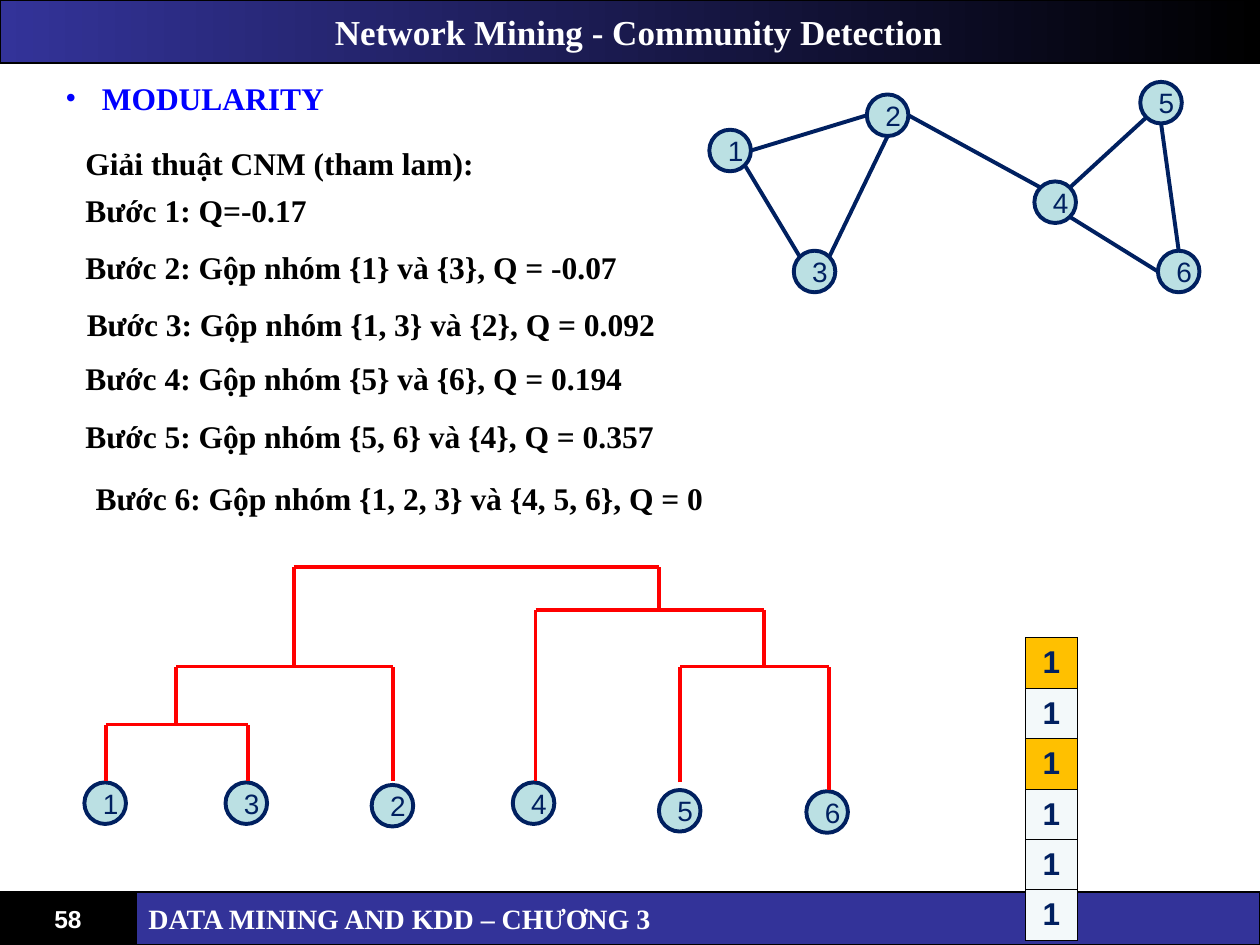
from math import cos, radians, sin

from lxml.etree import SubElement
from pptx import Presentation
from pptx.dml.color import RGBColor
from pptx.enum.shapes import MSO_CONNECTOR as Line, MSO_SHAPE as Preset
from pptx.enum.text import MSO_ANCHOR as Anchor, MSO_AUTO_SIZE as Fit, PP_ALIGN as Align
from pptx.oxml.ns import qn
from pptx.util import Inches, Pt

SERIF, SANS = "Times New Roman", "Arial"
NAVY, BLACK, WHITE, INDIGO = "002060", "000000", "FFFFFF", "333399"
NODE_SIZE = 0.33
DIRECTIONS = {"E": 0, "SE": 45, "S": 90, "SW": 135, "W": 180, "NW": 225, "N": 270, "NE": 315}


def color(hex_code):
    """Turn a hex string into a colour."""
    return RGBColor.from_string(hex_code)


def apply(target, **values):
    """Set every given attribute on the target."""
    for name, value in values.items():
        setattr(target, name, value)


def write(frame, text, size, font, hex_code, bold=True, align=Align.LEFT, anchor=Anchor.MIDDLE):
    """Fill a text frame with one formatted paragraph."""
    frame.vertical_anchor = anchor
    paragraph = frame.paragraphs[0]
    run = paragraph.add_run()
    run.text = text
    paragraph.alignment = align
    apply(run.font, size=Pt(size), name=font, bold=bold)
    run.font.color.rgb = color(hex_code)


def add_line(slide, begin, end, hex_code):
    """Draw a straight line between two points."""
    x1, y1 = begin
    x2, y2 = end
    line = slide.shapes.add_connector(Line.STRAIGHT, Inches(x1), Inches(y1), Inches(x2), Inches(y2))
    line.line.color.rgb = color(hex_code)
    line.line.width = Pt(2.25)
    SubElement(line._element.spPr, qn("a:effectLst"))


def add_filled(slide, preset, box, fill, outline, weight):
    """Add a flat preset shape with a fill and an outline."""
    shape = slide.shapes.add_shape(preset, *map(Inches, box))
    shape.shadow.inherit = False
    shape.fill.solid()
    shape.fill.fore_color.rgb = color(fill)
    shape.line.color.rgb = color(outline)
    shape.line.width = Pt(weight)
    return shape


def add_node(slide, label, left, top):
    """Add one numbered network node."""
    node = add_filled(slide, Preset.OVAL, (left, top, NODE_SIZE, NODE_SIZE), "BBE0E3", NAVY, 2.25)
    write(node.text_frame, label, 16, SANS, NAVY, bold=False, align=Align.CENTER)


def add_title_bar(slide, left, top, width, height):
    """Place the title on its gradient bar."""
    title = slide.shapes.title
    apply(title, left=Inches(left), top=Inches(top), width=Inches(width), height=Inches(height))
    title.fill.gradient()
    title.fill.gradient_angle = 0
    for stop, hex_code, position in zip(title.fill.gradient_stops, (INDIGO, BLACK), (0, 1)):
        stop.color.rgb = color(hex_code)
        stop.position = position
    title.line.color.rgb = color(BLACK)
    title.line.width = Pt(0.75)
    apply(title.text_frame, auto_size=Fit.NONE, margin_left=Inches(0.24))
    write(title.text_frame, "Network Mining - Community Detection", 20, SERIF, WHITE,
          align=Align.CENTER)


def add_footer(slide, left, top, width, height):
    """Place the page number and the course name."""
    number_width = 1.08
    number = add_filled(slide, Preset.RECTANGLE, (left, top, number_width, height),
                        BLACK, BLACK, 0.75)
    write(number.text_frame, "58", 14, SANS, WHITE, align=Align.CENTER)
    course = add_filled(slide, Preset.RECTANGLE,
                        (left + number_width, top, width - number_width, height),
                        INDIGO, BLACK, 0.75)
    write(course.text_frame, "DATA MINING AND KDD – CHƯƠNG 3", 16, SERIF, WHITE)


def add_heading(slide, left, top, width, height):
    """Place the bulleted topic heading."""
    heading = slide.shapes.add_textbox(*map(Inches, (left, top, width, height)))
    heading.text_frame.word_wrap = True
    props = heading.text_frame.paragraphs[0]._p.get_or_add_pPr()
    props.set("marL", str(Inches(0.29)))
    props.set("indent", str(-Inches(0.29)))
    SubElement(SubElement(props, qn("a:buClr")), qn("a:srgbClr"), val="0000FF")
    SubElement(props, qn("a:buFont"), typeface=SERIF)
    SubElement(props, qn("a:buChar"), char="•")
    write(heading.text_frame, "MODULARITY", 18, SERIF, "0000FF", anchor=Anchor.TOP)


def add_steps(slide, left, top):
    """List the steps of the greedy algorithm."""
    steps = [
        ("Giải thuật CNM (tham lam):", 0, 0, 3.32),
        ("Bước 1: Q=-0.17", 0, 0.38, 2),
        ("Bước 2: Gộp nhóm {1} và {3}, Q = -0.07", 0, 0.83, 4.46),
        ("Bước 3: Gộp nhóm {1, 3} và {2}, Q = 0.092", 0.01, 1.28, 4.75),
        ("Bước 4: Gộp nhóm {5} và {6}, Q = 0.194", 0, 1.71, 4.5),
        ("Bước 5: Gộp nhóm {5, 6} và {4}, Q = 0.357", 0, 2.17, 4.75),
        ("Bước 6: Gộp nhóm {1, 2, 3} và {4, 5, 6}, Q = 0", 0.08, 2.66, 5.08),
    ]
    for text, dx, dy, width in steps:
        step = slide.shapes.add_textbox(*map(Inches, (left + dx, top + dy, width, 0.4)))
        apply(step.text_frame, word_wrap=False, auto_size=Fit.SHAPE_TO_FIT_TEXT)
        write(step.text_frame, text, 18, SERIF, BLACK, anchor=Anchor.TOP)


def add_network(slide, left, top):
    """Draw the six-node network with its edges."""
    nodes = {"1": (0, 0.38), "2": (1.25, 0.1), "3": (0.67, 1.34),
             "4": (2.58, 0.79), "5": (3.42, 0), "6": (3.56, 1.34)}
    edges = [("1", "E", "2", "W"), ("1", "SE", "3", "NW"), ("2", "S", "3", "NE"),
             ("2", "E", "4", "NW"), ("4", "NE", "5", "SW"), ("5", "S", "6", "N"),
             ("4", "SE", "6", "W")]

    def rim(label, direction):
        """Find the point on a node's rim in a direction."""
        dx, dy = nodes[label]
        angle, radius = radians(DIRECTIONS[direction]), NODE_SIZE / 2
        return (left + dx + radius * (1 + cos(angle)), top + dy + radius * (1 + sin(angle)))

    for label, (dx, dy) in nodes.items():
        add_node(slide, label, left + dx, top + dy)
    for source, exit_side, target, entry_side in edges:
        add_line(slide, rim(source, exit_side), rim(target, entry_side), NAVY)


def add_dendrogram(slide, left, top):
    """Draw the tree of merges above its leaf nodes."""
    leaves = [("1", 0, 1.71), ("3", 1.12, 1.71), ("2", 2.28, 1.73),
              ("4", 3.4, 1.71), ("5", 4.56, 1.77), ("6", 5.73, 1.78)]
    merges = [
        (1.25, (0.17, 1.7), (1.3, 1.7)),
        (0.79, (0.73, 1.25), (2.45, 1.7)),
        (0.79, (4.73, 1.71), (5.91, 1.77)),
        (0.34, (3.58, 1.7), (5.39, 0.79)),
        (0, (1.66, 0.79), (4.56, 0.34)),
    ]
    for label, dx, dy in leaves:
        add_node(slide, label, left + dx, top + dy)
    for level, *branches in merges:
        corners = [(left + x, top + level) for x, _ in branches]
        add_line(slide, *corners, "FF0000")
        for (x, foot), corner in zip(branches, corners):
            add_line(slide, (left + x, top + foot), corner, "FF0000")


def add_membership(slide, left, top, width, row_height):
    """Place the community membership column."""
    fills = ["FFC000", "F3F9FA", "FFC000", "F3F9FA", "F3F9FA", "F3F9FA"]
    count = len(fills)
    table = slide.shapes.add_table(
        count, 1, *map(Inches, (left, top, width, row_height * count))).table
    apply(table, first_row=False, horz_banding=False)
    for row, fill in enumerate(fills):
        table.rows[row].height = Inches(row_height)
        cell = table.cell(row, 0)
        apply(cell, margin_left=Inches(0.01), margin_right=Inches(0.01),
              vertical_anchor=Anchor.MIDDLE)
        for side in ("lnL", "lnR", "lnT", "lnB"):
            border = SubElement(cell._tc.get_or_add_tcPr(), qn(f"a:{side}"), w=str(Pt(0.45)))
            SubElement(SubElement(border, qn("a:solidFill")), qn("a:srgbClr"), val=BLACK)
        cell.fill.solid()
        cell.fill.fore_color.rgb = color(fill)
        write(cell.text_frame, "1", 18, SANS, NAVY, align=Align.CENTER)


def main():
    """Build the slide and save it."""
    deck = Presentation()
    apply(deck, slide_width=Inches(10), slide_height=Inches(7.5))
    slide = deck.slides.add_slide(deck.slide_layouts[5])
    add_title_bar(slide, 0, 0, 10, 0.5)
    add_footer(slide, 0, 7.08, 10, 0.42)
    add_heading(slide, 0.42, 0.58, 9.17, 0.4)
    add_steps(slide, 0.58, 1.09)
    add_network(slide, 5.63, 0.65)
    add_dendrogram(slide, 0.67, 4.5)
    add_membership(slide, 8.14, 5.06, 0.41, 0.32)
    deck.save("out.pptx")


if __name__ == "__main__":
    main()
